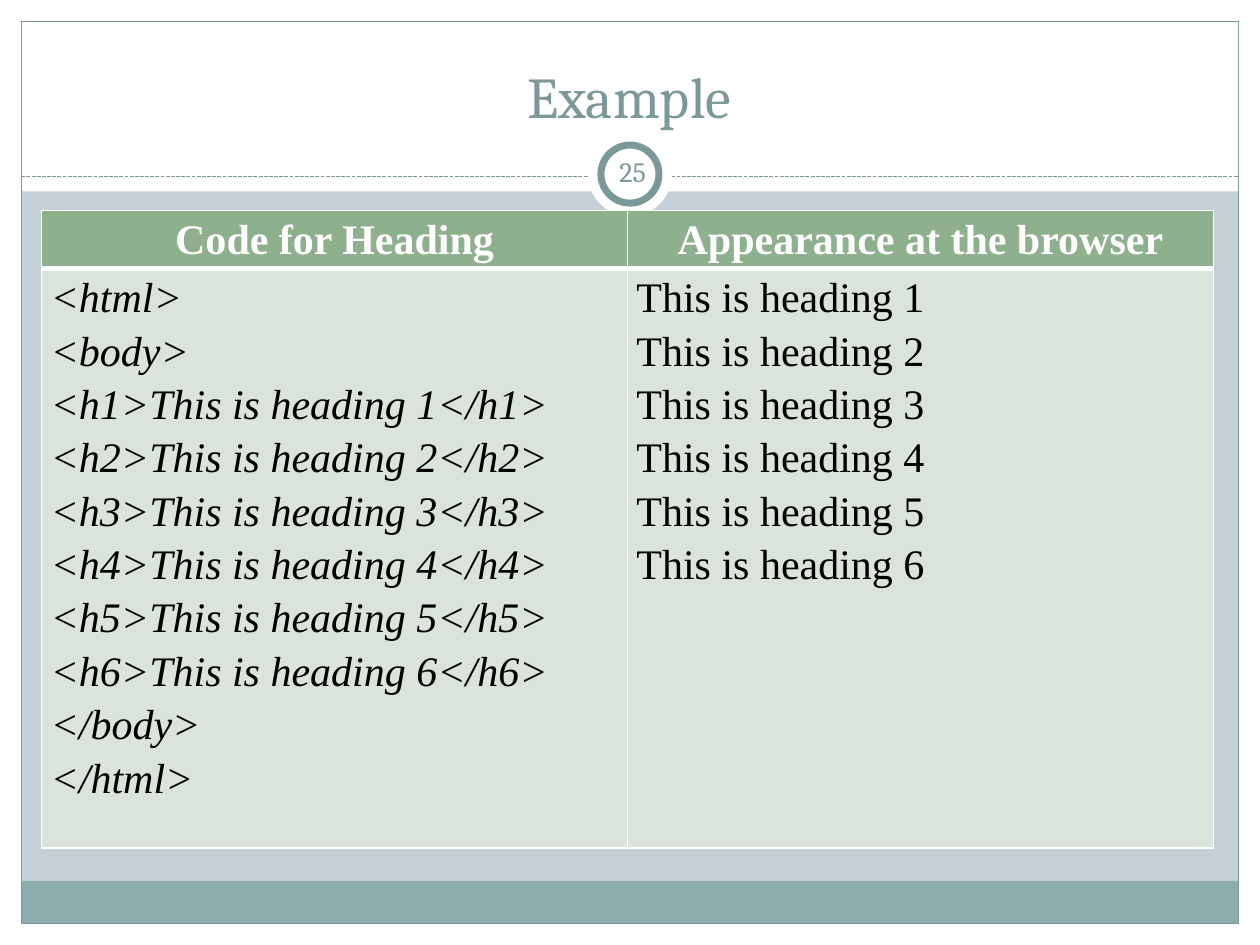
from lxml.etree import SubElement
from pptx import Presentation
from pptx.dml.color import RGBColor
from pptx.enum.dml import MSO_LINE
from pptx.enum.shapes import MSO_CONNECTOR, MSO_SHAPE
from pptx.enum.text import MSO_ANCHOR, PP_ALIGN
from pptx.oxml import parse_xml
from pptx.oxml.ns import nsdecls, qn
from pptx.util import Cm, Pt

# Content
TITLE = "Example"
PAGE_NUMBER = "25"
HEADERS = ["Code for Heading", "Appearance at the browser"]
HEADINGS = [(level, f"This is heading {level}") for level in range(1, 7)]
CODE = ["<html>", "<body>",
        *[f"<h{level}>{text}</h{level}>" for level, text in HEADINGS],
        "</body>", "</html>"]
APPEARANCE = [text for _, text in HEADINGS]

COLORS = {"white": "FFFFFF", "background": "C5D1D7", "band": "8CADAE",
          "accent": "7C999A", "header": "8FB08C", "body": "DBE4DA",
          "black": "000000"}

# Layout in centimetres
WIDTH, HEIGHT = 25.4, 19.05
MARGIN = 0.43
INNER_WIDTH, INNER_HEIGHT = WIDTH - 2 * MARGIN, HEIGHT - 2 * MARGIN
TOP_HEIGHT, BAND_HEIGHT = 3.86, 0.86
RULE_Y = 3.56
BADGE_Y = 3.51
TABLE_LEFT, TABLE_TOP, COLUMN_WIDTH = 0.84, 4.24, 11.81
ROW_HEIGHTS = [1.04, 10.75]


def rgb(name):
    return RGBColor.from_string(COLORS[name])


def set_values(target, values):
    for name, value in values.items():
        setattr(target, name, value)


def add_plain_shape(kind, box, fill=None, line=None, line_width=0.75):
    shape = slide.shapes.add_shape(kind, *map(Cm, box))
    shape.shadow.inherit = False
    if fill:
        shape.fill.solid()
        shape.fill.fore_color.rgb = rgb(fill)
    else:
        shape.fill.background()
    if line:
        shape.line.color.rgb = rgb(line)
        shape.line.width = Pt(line_width)
    else:
        shape.line.fill.background()
    return shape


def write(frame, lines, color, font, paragraph_format):
    for index, text in enumerate(lines):
        paragraph = frame.paragraphs[0] if index == 0 else frame.add_paragraph()
        set_values(paragraph, paragraph_format)
        run = paragraph.add_run()
        run.text = text
        set_values(run.font, font)
        run.font.color.rgb = rgb(color)


def add_label(text, box, size, anchor, inset):
    frame = slide.shapes.add_textbox(*map(Cm, box)).text_frame
    set_values(frame, {"word_wrap": True, "vertical_anchor": anchor})
    if inset is not None:
        set_values(frame, {f"margin_{side}": Cm(inset)
                           for side in ("left", "top", "right", "bottom")})
    write(frame, [text], "accent", {"name": "Cambria", "size": Pt(size)},
          {"alignment": PP_ALIGN.CENTER})


def add_borders(cell, widths):
    properties = cell._tc.get_or_add_tcPr()
    for index, (side, width) in enumerate(widths.items()):
        properties.insert(index, parse_xml(
            f'<a:ln{side} {nsdecls("a")} w="{Pt(width)}"><a:solidFill>'
            f'<a:srgbClr val="{COLORS["white"]}"/></a:solidFill></a:ln{side}>'))


presentation = Presentation()
set_values(presentation, {"slide_width": Cm(WIDTH), "slide_height": Cm(HEIGHT)})
slide = presentation.slides.add_slide(presentation.slide_layouts[6])
slide.background.fill.solid()
slide.background.fill.fore_color.rgb = rgb("background")

# White margins, footer band and frame
bottom = HEIGHT - MARGIN
for box, fill in [
    ((0, bottom, WIDTH, MARGIN), "white"),
    ((0, 0, WIDTH, TOP_HEIGHT), "white"),
    ((0, 0, MARGIN, HEIGHT), "white"),
    ((WIDTH - MARGIN, 0, MARGIN, HEIGHT), "white"),
    ((MARGIN, bottom - BAND_HEIGHT, INNER_WIDTH, BAND_HEIGHT), "band"),
]:
    add_plain_shape(MSO_SHAPE.RECTANGLE, box, fill)
add_plain_shape(MSO_SHAPE.RECTANGLE,
                (MARGIN, MARGIN, INNER_WIDTH, INNER_HEIGHT), line="accent")

# Dashed rule
rule = slide.shapes.add_connector(
    MSO_CONNECTOR.STRAIGHT,
    *map(Cm, (MARGIN, RULE_Y, WIDTH - MARGIN, RULE_Y)))
rule.line.color.rgb = rgb("accent")
set_values(rule.line, {"width": Pt(0.75), "dash_style": MSO_LINE.SQUARE_DOT})
SubElement(rule._element.spPr, qn("a:effectLst"))

# Page number badge
for diameter, line in [(1.7, None), (1.17, "accent")]:
    add_plain_shape(MSO_SHAPE.OVAL,
                    ((WIDTH - diameter) / 2, BADGE_Y - diameter / 2,
                     diameter, diameter), "white", line, 4)

# Title and page number
add_label(TITLE, (0.84, 0.64, 23.7, 2.11), 33, MSO_ANCHOR.BOTTOM, None)
add_label(PAGE_NUMBER, (12.12, 2.84, 1.27, 1.22), 16, MSO_ANCHOR.MIDDLE, 0.13)

# Table
table = slide.shapes.add_table(
    2, 2, Cm(TABLE_LEFT), Cm(TABLE_TOP),
    Cm(2 * COLUMN_WIDTH), Cm(sum(ROW_HEIGHTS))).table
table.horz_banding = False
for column in table.columns:
    column.width = Cm(COLUMN_WIDTH)
for row, height in zip(table.rows, ROW_HEIGHTS):
    row.height = Cm(height)

for column, lines in enumerate([CODE, APPEARANCE]):
    for row, (texts, fill, color, alignment) in enumerate([
        ([HEADERS[column]], "header", "white", PP_ALIGN.CENTER),
        (lines, "body", "black", PP_ALIGN.LEFT),
    ]):
        cell = table.cell(row, column)
        set_values(cell, {"margin_left": Cm(0.18), "margin_right": Cm(0.18),
                          "margin_top": 0, "margin_bottom": 0})
        cell.fill.solid()
        cell.fill.fore_color.rgb = rgb(fill)
        is_header = row == 0
        add_borders(cell, {"L": 1, "R": 1, "T": 3 - 2 * is_header,
                           "B": 1 + 2 * is_header})
        write(cell.text_frame, texts, color,
              {"name": "Times New Roman", "size": Pt(24), "bold": is_header,
               "italic": lines is CODE and not is_header},
              {"alignment": alignment, "line_spacing": 1.15})

presentation.save("out.pptx")
